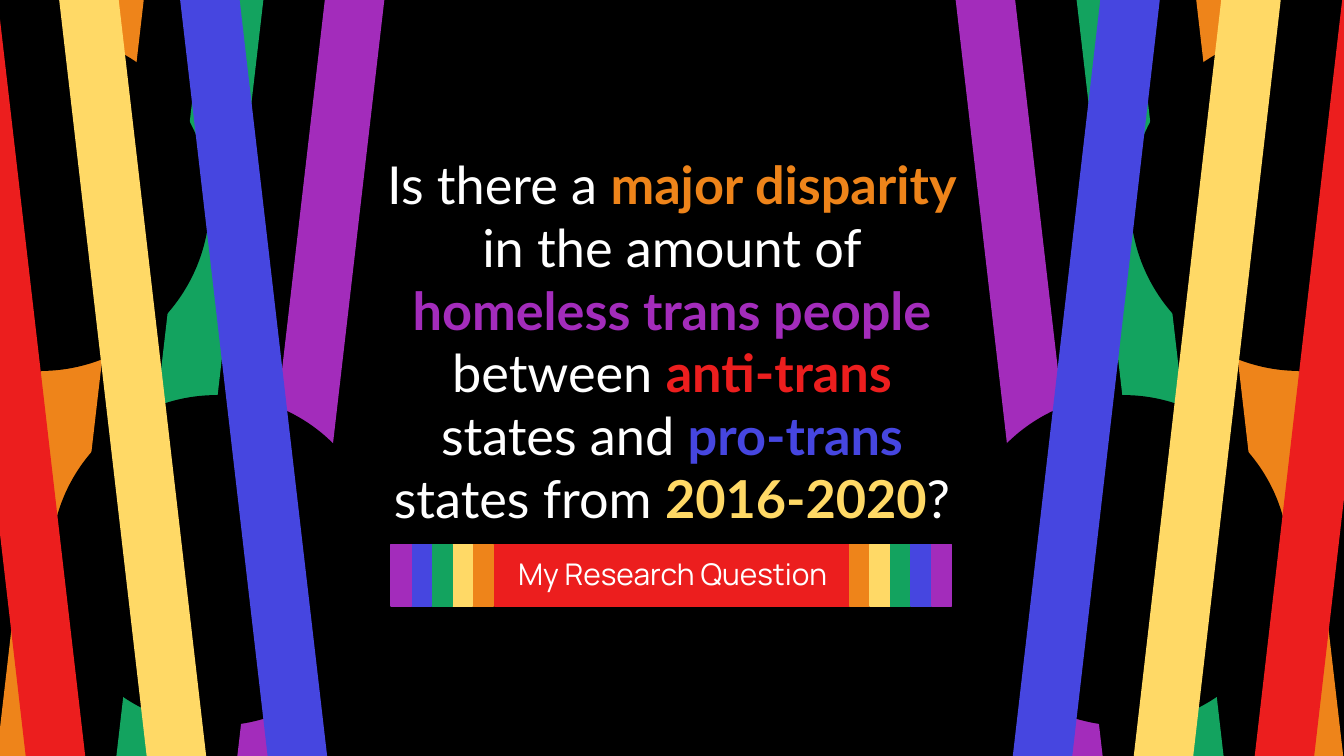
from pptx import Presentation
from pptx.dml.color import RGBColor
from pptx.enum.shapes import MSO_SHAPE as Shape
from pptx.enum.text import MSO_ANCHOR as Anchor, PP_ALIGN as Align
from pptx.util import Inches, Pt

BLACK = RGBColor(0x00, 0x00, 0x00)
WHITE = RGBColor(0xFF, 0xFF, 0xFF)
RED = RGBColor(0xEC, 0x1E, 0x1E)
ORANGE = RGBColor(0xEE, 0x84, 0x1A)
YELLOW = RGBColor(0xFF, 0xD9, 0x66)
GREEN = RGBColor(0x13, 0xA3, 0x5F)
BLUE = RGBColor(0x46, 0x46, 0xE0)
PURPLE = RGBColor(0xA3, 0x2C, 0xBB)

SLIDE_WIDTH = 10
SLIDE_HEIGHT = SLIDE_WIDTH * 9 / 16
BEAM_TOP, BEAM_WIDTH, BEAM_HEIGHT, BEAM_TILT = -0.18, 0.44, 6.03, 6.6
SIDE_SPAN = 9.97  # sum of the left edge and the mirrored right edge
BANNER_SPAN = 9.99
BANNER_TOP, BANNER_HEIGHT = 4.05, 0.46
STRIPE_START, STRIPE_WIDTH, STRIPE_STEP = 6.32, 0.15, 0.61 / 4

QUESTION = [
    [("Is there a ", WHITE), ("major disparity", ORANGE)],
    [("in the amount of", WHITE)],
    [("homeless trans people", PURPLE)],
    [("between ", WHITE), ("anti-trans", RED)],
    [("states and ", WHITE), ("pro-trans", BLUE)],
    [("states from ", WHITE), ("2016-2020", YELLOW), ("?", WHITE)],
]


class SlideBuilder:
    def __init__(self, slide):
        self.slide = slide
        self.frame_format = {
            "word_wrap": True,
            "vertical_anchor": Anchor.MIDDLE,
            "margin_left": Inches(0.1),
            "margin_right": Inches(0.1),
            "margin_top": Inches(0.1),
            "margin_bottom": Inches(0.1),
        }

    def background(self, color):
        fill = self.slide.background.fill
        fill.solid()
        fill.fore_color.rgb = color

    def shape(self, kind, left, top, width, height, color, outlined=False):
        shape = self.slide.shapes.add_shape(
            kind, Inches(left), Inches(top), Inches(width), Inches(height))
        shape.shadow.inherit = False
        shape.fill.solid()
        shape.fill.fore_color.rgb = color
        if outlined:
            shape.line.color.rgb = color
            shape.line.width = Pt(0.75)
        else:
            shape.line.fill.background()
        return shape

    def beam(self, left, color, tilt):
        shape = self.shape(Shape.RECTANGLE, left, BEAM_TOP, BEAM_WIDTH, BEAM_HEIGHT, color)
        shape.rotation = tilt % 360

    def disc(self, left, top, size):
        self.shape(Shape.OVAL, left, top, size, size, BLACK)

    def banner_part(self, left, width, color):
        self.shape(Shape.RECTANGLE, left, BANNER_TOP, width, BANNER_HEIGHT, color, True)

    def text(self, left, top, width, height, lines, font_name, size):
        """Add centred lines of (text, colour) runs; coloured words are bold."""
        box = self.slide.shapes.add_textbox(
            Inches(left), Inches(top), Inches(width), Inches(height))
        frame = box.text_frame
        for name, value in self.frame_format.items():
            setattr(frame, name, value)
        paragraph = frame.paragraphs[0]
        paragraph.alignment = Align.CENTER
        for index, line in enumerate(lines):
            if index:
                paragraph.add_line_break()
            for words, color in line:
                run = paragraph.add_run()
                run.text = words
                run_format = {"name": font_name, "size": Pt(size), "bold": color != WHITE}
                for name, value in run_format.items():
                    setattr(run.font, name, value)
                run.font.color.rgb = color


def draw_side(builder, mirrored):
    """Draw the crossing beams of the right side, or their mirror image."""
    def place(left, width):
        return SIDE_SPAN - left - width if mirrored else left

    inward = BEAM_TILT if mirrored else -BEAM_TILT

    def beams(items, tilt):
        for left, color in items:
            builder.beam(place(left, BEAM_WIDTH), color, tilt)

    beams([(8.34, GREEN), (9.23, ORANGE)], inward)
    builder.disc(place(8.41, 2.52), 0.24, 2.52)
    beams([(7.44, PURPLE)], inward)
    builder.disc(place(7.13, 2.46), 2.94, 2.46)
    beams([(7.86, BLUE), (8.76, YELLOW), (9.66, RED)], -inward)


def draw_banner(builder):
    builder.banner_part(3.68, 2.64, RED)
    for index, color in enumerate([ORANGE, YELLOW, GREEN, BLUE, PURPLE]):
        left = STRIPE_START + index * STRIPE_STEP
        for edge in (left, BANNER_SPAN - left - STRIPE_WIDTH):
            builder.banner_part(edge, STRIPE_WIDTH, color)


def main():
    presentation = Presentation()
    presentation.slide_width = Inches(SLIDE_WIDTH)
    presentation.slide_height = Inches(SLIDE_HEIGHT)
    slide = presentation.slides.add_slide(presentation.slide_layouts[6])
    builder = SlideBuilder(slide)
    builder.background(BLACK)
    for mirrored in (False, True):
        draw_side(builder, mirrored)
    draw_banner(builder)
    builder.text(2.6, 1.16, 4.8, 2.75, QUESTION, "Lato", 28)
    builder.text(2.5, 3.97, 5.01, 0.6, [[("My Research Question", WHITE)]], "Manrope", 16)
    presentation.save("out.pptx")


if __name__ == "__main__":
    main()
